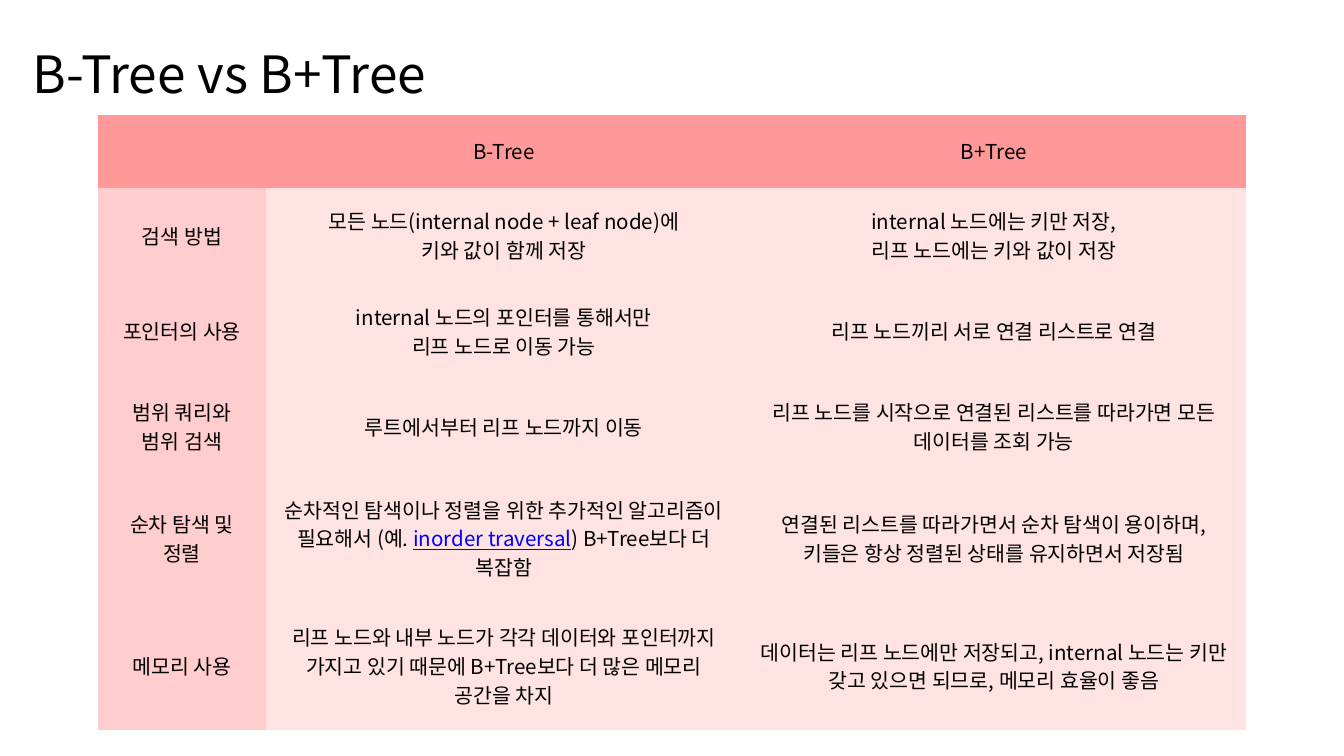
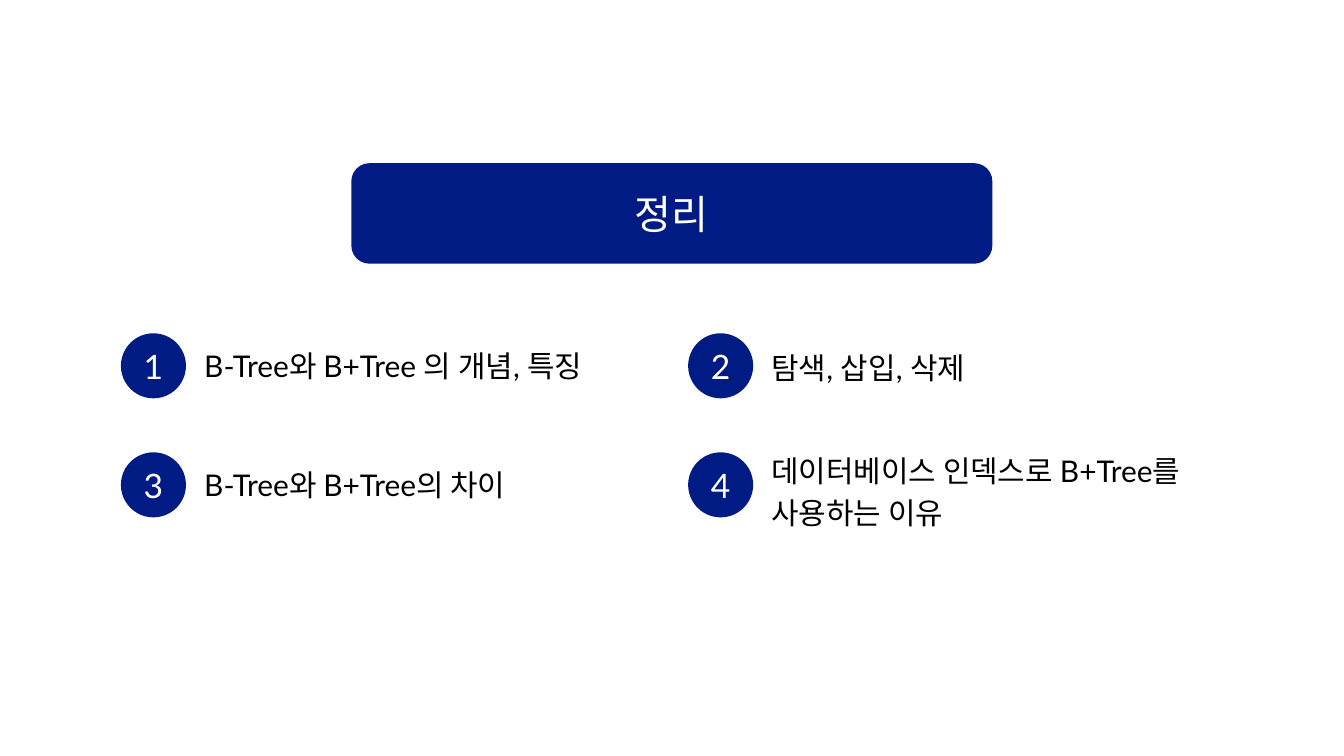
from dataclasses import dataclass
from lxml.etree import SubElement
from pptx import Presentation
from pptx.dml.color import RGBColor
from pptx.enum.shapes import MSO_SHAPE
from pptx.enum.text import MSO_ANCHOR, PP_ALIGN
from pptx.oxml.ns import qn
from pptx.util import Cm, Pt


@dataclass(frozen=True)
class Theme:
    black: str = "000000"
    white: str = "FFFFFF"
    navy: str = "001C84"
    link: str = "0000FF"
    head: str = "FF9999"
    side: str = "FFCDCD"
    body: str = "FFE3E3"
    sans: str = "Noto Sans CJK KR"
    lato: str = "Lato"
    title: int = 55
    banner: int = 43
    number: int = 36
    item: int = 32
    cell: int = 22


class Deck:
    def __init__(self, theme):
        self.theme = theme
        self.deck = Presentation()
        self.deck.slide_width = Cm(50.8)
        self.deck.slide_height = Cm(28.58)
        self.slide = None

    def page(self):
        self.slide = self.deck.slides.add_slide(self.deck.slide_layouts[6])
        fill = self.slide.background.fill
        fill.solid()
        fill.fore_color.rgb = RGBColor.from_string(self.theme.white)

    def style(self, frame, font, size, color, align, ratio):
        for para in frame.paragraphs:
            para.alignment = align
            para.line_spacing = Pt(size * ratio)
            for run in para.runs:
                run.font.name = font
                run.font.size = Pt(size)
                run.font.color.rgb = RGBColor.from_string(color)

    def inset(self, frame, top=0):
        frame.margin_left = frame.margin_right = frame.margin_bottom = 0
        frame.margin_top = Cm(top)
        frame.word_wrap = True

    def label(self, text, left, top, width, height, font, size):
        box = self.slide.shapes.add_textbox(Cm(left), Cm(top), Cm(width), Cm(height))
        frame = box.text_frame
        self.inset(frame)
        frame.text = text
        self.style(frame, font, size, self.theme.black, PP_ALIGN.LEFT, 1.4)

    def badge(self, kind, text, left, top, width, height, size):
        shape = self.slide.shapes.add_shape(kind, Cm(left), Cm(top), Cm(width), Cm(height))
        shape.shadow.inherit = False
        shape.fill.solid()
        shape.fill.fore_color.rgb = RGBColor.from_string(self.theme.navy)
        shape.line.fill.background()
        frame = shape.text_frame
        self.inset(frame, 0.15)
        frame.vertical_anchor = MSO_ANCHOR.MIDDLE
        frame.text = text
        self.style(frame, self.theme.lato, size, self.theme.white, PP_ALIGN.CENTER, 1.1)
        return shape

    def cell(self, cell, text, fill):
        props = cell._tc.get_or_add_tcPr()
        for side in ("a:lnL", "a:lnR", "a:lnT", "a:lnB"):
            SubElement(SubElement(props, qn(side), w="0"), qn("a:noFill"))
        cell.fill.solid()
        cell.fill.fore_color.rgb = RGBColor.from_string(fill)
        cell.margin_left = cell.margin_right = Cm(0.53)
        cell.margin_top = cell.margin_bottom = Cm(0.53)
        cell.vertical_anchor = MSO_ANCHOR.MIDDLE
        frame = cell.text_frame
        first, *rest = text.split("|")
        frame.text = first
        for part in rest:
            frame.paragraphs[-1].add_run().text = part
        self.style(frame, self.theme.sans, self.theme.cell, self.theme.black,
                   PP_ALIGN.CENTER, 1.4)
        for run in frame.paragraphs[-1].runs[1::2]:
            run.font.underline = True
            run.font.color.rgb = RGBColor.from_string(self.theme.link)

    def table(self, rows, left, top, widths, heights):
        grid = self.slide.shapes.add_table(
            len(rows), len(widths), Cm(left), Cm(top),
            Cm(sum(widths)), Cm(sum(heights))).table
        grid.first_row = grid.horz_banding = False
        for column, width in zip(grid.columns, widths):
            column.width = Cm(width)
        for r, (row, height) in enumerate(zip(rows, heights)):
            grid.rows[r].height = Cm(height)
            for c, text in enumerate(row):
                theme = self.theme
                fill = theme.head if r == 0 else theme.side if c == 0 else theme.body
                self.cell(grid.cell(r, c), text, fill)

    def save(self):
        self.deck.save("out.pptx")


ROWS = [
    ("", "B-Tree", "B+Tree"),
    ("검색 방법",
     "모든 노드(internal node + leaf node)에\n키와 값이 함께 저장",
     "internal 노드에는 키만 저장,\n리프 노드에는 키와 값이 저장"),
    ("포인터의 사용",
     "internal 노드의 포인터를 통해서만\n리프 노드로 이동 가능",
     "리프 노드끼리 서로 연결 리스트로 연결"),
    ("범위 쿼리와 범위 검색",
     "루트에서부터 리프 노드까지 이동",
     "리프 노드를 시작으로 연결된 리스트를 따라가면 모든 데이터를 조회 가능"),
    ("순차 탐색 및 정렬",
     "순차적인 탐색이나 정렬을 위한 추가적인 알고리즘이 필요해서 (예. "
     "|inorder traversal|) B+Tree보다 더 복잡함",
     "연결된 리스트를 따라가면서 순차 탐색이 용이하며, "
     "키들은 항상 정렬된 상태를 유지하면서 저장됨"),
    ("메모리 사용",
     "리프 노드와 내부 노드가 각각 데이터와 포인터까지 가지고 있기 때문에 "
     "B+Tree보다 더 많은 메모리 공간을 차지",
     "데이터는 리프 노드에만 저장되고, internal 노드는 키만 갖고 있으면 되므로, "
     "메모리 효율이 좋음"),
]

ITEMS = [
    ("B-Tree와 B+Tree 의 개념, 특징", 0.33, 16.41),
    ("탐색, 삽입, 삭제", 0.4, 16.81),
    ("B-Tree와 B+Tree의 차이", 0.3, 14.53),
    ("데이터베이스 인덱스로 B+Tree를\v사용하는 이유", -0.2, 17.83),
]


def versus(deck):
    deck.page()
    deck.table(ROWS, 3.71, 4.34, [6.33, 18.01, 19.03],
               [2.77] + [3.61] * 3 + [4.83] * 2)
    deck.label("B-Tree vs B+Tree", 1.24, 1.19, 22.05, 2.62,
               deck.theme.sans, deck.theme.title)


def recap(deck):
    deck.page()
    theme = deck.theme
    bar = deck.badge(MSO_SHAPE.ROUNDED_RECTANGLE, "정리",
                     13.28, 6.17, 24.23, 3.8, theme.banner)
    bar.adjustments[0] = 0.18
    for i, (text, drop, width) in enumerate(ITEMS):
        row, column = divmod(i, 2)
        left, top = 4.57 + 21.44 * column, 12.6 + 4.5 * row
        deck.badge(MSO_SHAPE.OVAL, str(i + 1), left, top, 2.46, 2.46, theme.number)
        lines = text.count("\v") + 1
        deck.label(text, left + 3.15, top + drop, width, 1.53 * lines,
                   theme.lato, theme.item)


def main():
    deck = Deck(Theme())
    versus(deck)
    recap(deck)
    deck.save()


if __name__ == "__main__":
    main()
